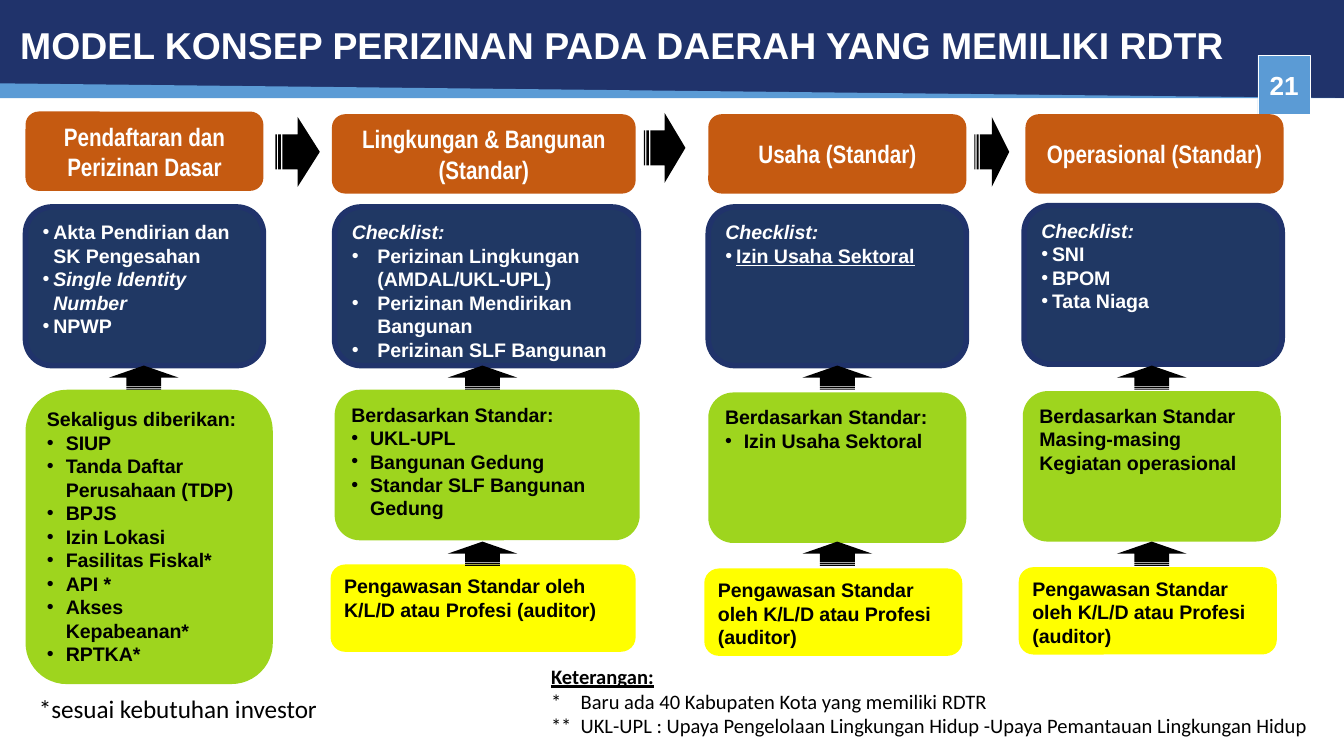
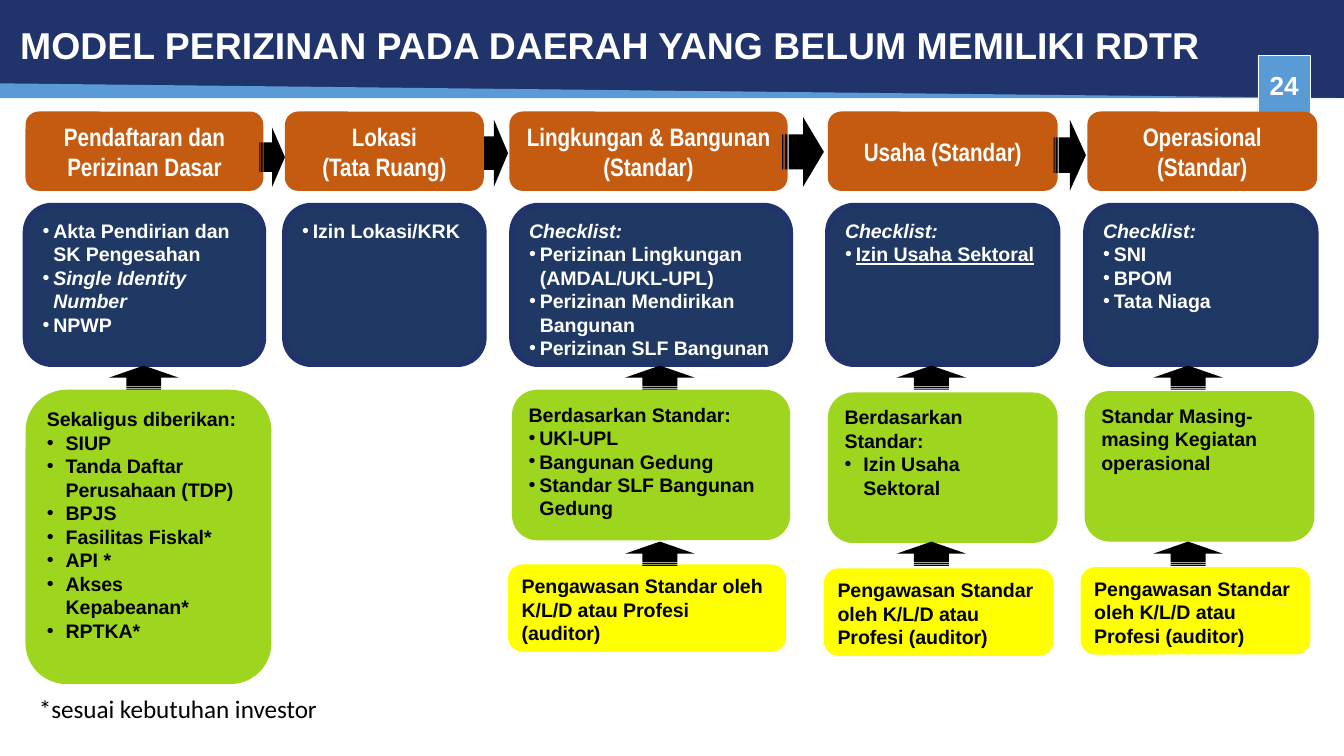
"""Build two slides on permit models for regions with and without an RDTR."""
from dataclasses import dataclass

from lxml import etree
from pptx import Presentation
from pptx.dml.color import RGBColor
from pptx.enum.shapes import MSO_SHAPE
from pptx.enum.text import MSO_ANCHOR, PP_ALIGN
from pptx.oxml.ns import qn
from pptx.util import Inches, Pt

RECTANGLE = MSO_SHAPE.RECTANGLE
ROUNDED = MSO_SHAPE.ROUNDED_RECTANGLE
TRIANGLE = MSO_SHAPE.RIGHT_TRIANGLE
ARROW = MSO_SHAPE.STRIPED_RIGHT_ARROW
TOP, MIDDLE = MSO_ANCHOR.TOP, MSO_ANCHOR.MIDDLE
LEFT, CENTER = PP_ALIGN.LEFT, PP_ALIGN.CENTER

NAVY = RGBColor(0x20, 0x33, 0x6B)
DEEP_BLUE = RGBColor(0x20, 0x38, 0x64)
SKY = RGBColor(0x5B, 0x9B, 0xD5)
ORANGE = RGBColor(0xC5, 0x5A, 0x11)
GREEN = RGBColor(0x9E, 0xD5, 0x1E)
YELLOW = RGBColor(0xFF, 0xFF, 0x00)
WHITE = RGBColor(0xFF, 0xFF, 0xFF)
BLACK = RGBColor(0, 0, 0)

SLIM_INSETS = (0.07, 0.04)
WIDE_INSETS = (0.1, 0.05)
STEP_HEIGHT, CHECK_HEIGHT, STANDARD_HEIGHT, AUDIT_HEIGHT = 0.59, 1.18, 1.12, 0.65
FIRST_HEIGHT = 2.19
TIGHT, LOOSE, WIDE = 0.08, 0.14, 0.19


@dataclass
class Line:
    """One paragraph with its own look."""
    text: str
    indent: float = 0
    bullet: bool = False
    italic: bool = False
    underline: bool = False
    bold: bool = True


@dataclass
class Column:
    """One stage of the permit process; tops run from step to audit."""
    left: float
    width: float
    middle: float
    tops: tuple
    step: list
    checks: list
    standards: list = ()
    step_shift: float = 0
    check_shift: float = 0
    standard_width: float = 0
    audited: bool = True


def bullets(indent, *texts):
    """Return bulleted lines that share an indent."""
    return [Line(text, indent, bullet=True) for text in texts]


CHECKLIST = Line("Checklist:", italic=True)
BASED_ON = Line("Berdasarkan Standar:")
AUDIT = [Line("Pengawasan Standar oleh K/L/D atau Profesi (auditor)")]
REGISTER_STEP = [Line("Pendaftaran dan Perizinan Dasar")]
REGISTER_CHECKS = [
    *bullets(TIGHT, "Akta Pendirian dan SK Pengesahan"),
    Line("Single Identity Number", TIGHT, bullet=True, italic=True),
    *bullets(TIGHT, "NPWP"),
]
BUILDING_STEP = [Line("Lingkungan & Bangunan (Standar)")]
BUILDING_CHECKS = ("Perizinan Lingkungan (AMDAL/UKL-UPL)",
                   "Perizinan Mendirikan Bangunan", "Perizinan SLF Bangunan")
BUILDING_STANDARDS = ("Bangunan Gedung", "Standar SLF Bangunan Gedung")
BUSINESS_STEP = [Line("Usaha (Standar)")]
BUSINESS_CHECKS = [CHECKLIST, Line("Izin Usaha Sektoral", TIGHT, bullet=True, underline=True)]
BUSINESS_STANDARDS = [BASED_ON, *bullets(LOOSE, "Izin Usaha Sektoral")]
OPERATION_STEP = [Line("Operasional (Standar)")]
OPERATION_CHECKS = [CHECKLIST, *bullets(TIGHT, "SNI", "BPOM", "Tata Niaga")]
GIVEN = Line("Sekaligus diberikan:")
GIVEN_FIRST = ("SIUP", "Tanda Daftar Perusahaan (TDP)", "BPJS")
GIVEN_LAST = ("Fasilitas Fiskal*", "API *", "Akses Kepabeanan*", "RPTKA*")

WITH_RDTR = [
    Column(0.19, 1.77, 0.88, (0.83, 1.54, 2.9), REGISTER_STEP, REGISTER_CHECKS,
           [GIVEN, *bullets(LOOSE, *GIVEN_FIRST, "Izin Lokasi", *GIVEN_LAST)],
           standard_width=1.84, audited=False),
    Column(2.49, 2.26, 1.1, (0.85, 1.54, 2.9, 4.2), BUILDING_STEP,
           [CHECKLIST, *bullets(WIDE, *BUILDING_CHECKS)],
           [BASED_ON, *bullets(LOOSE, "UKL-UPL", *BUILDING_STANDARDS)],
           step_shift=-0.02, standard_width=2.27),
    Column(5.27, 1.92, 0.96, (0.85, 1.54, 2.92, 4.23), BUSINESS_STEP,
           BUSINESS_CHECKS, BUSINESS_STANDARDS),
    Column(7.61, 1.92, 0.96, (0.85, 1.53, 2.91, 4.22), OPERATION_STEP, OPERATION_CHECKS,
           [Line("Berdasarkan Standar Masing-masing Kegiatan operasional")],
           step_shift=0.02, check_shift=0.01),
]
WITH_RDTR_ARROWS = [(2.05, 0.87, 0.33, 0.52), (4.79, 0.84, 0.31, 0.52), (7.25, 0.87, 0.26, 0.52)]

WITHOUT_RDTR = [
    Column(0.19, 1.77, 0.88, (0.83, 1.53, 2.9), REGISTER_STEP, REGISTER_CHECKS,
           [GIVEN, *bullets(LOOSE, *GIVEN_FIRST, *GIVEN_LAST)],
           standard_width=1.83, audited=False),
    Column(3.81, 2.07, 1.1, (0.83, 1.53, 2.9, 4.2), BUILDING_STEP,
           [CHECKLIST, *bullets(TIGHT, *BUILDING_CHECKS)],
           [BASED_ON, *bullets(TIGHT, "UKl-UPL", *BUILDING_STANDARDS)], step_shift=-0.02),
    Column(6.16, 1.71, 0.77, (0.83, 1.53, 2.92, 4.23), BUSINESS_STEP,
           BUSINESS_CHECKS, BUSINESS_STANDARDS),
    Column(8.07, 1.71, 0.77, (0.83, 1.53, 2.91, 4.22), OPERATION_STEP, OPERATION_CHECKS,
           [Line("Standar Masing-masing Kegiatan operasional")],
           step_shift=0.02, check_shift=0.01),
    Column(2.12, 1.48, 0.74, (0.83, 1.53), [Line("Lokasi"), Line("(Tata Ruang)")],
           bullets(TIGHT, "Izin Lokasi/KRK"), audited=False),
]
WITHOUT_RDTR_ARROWS = [(1.93, 0.95, 0.19, 0.44), (3.57, 0.89, 0.21, 0.5),
                       (5.82, 0.87, 0.31, 0.52), (7.84, 0.89, 0.24, 0.53)]

LEGEND = [
    Line("Keterangan:", underline=True),
    Line("*\tBaru ada 40 Kabupaten Kota yang memiliki RDTR", 0.22, bold=False),
    Line("**\tUKL-UPL : Upaya Pengelolaan Lingkungan Hidup -Upaya Pemantauan Lingkungan Hidup",
         0.22, bold=False),
]
INVESTOR_NOTE = [Line("*sesuai kebutuhan investor", bold=False)]


def write(box, lines, size, color, font="Arial", align=LEFT, anchor=TOP, insets=SLIM_INSETS):
    """Fill a box with styled paragraphs."""
    frame = box.text_frame
    frame.word_wrap = True
    frame.vertical_anchor = anchor
    frame.margin_left = frame.margin_right = Inches(insets[0])
    frame.margin_top = frame.margin_bottom = Inches(insets[1])
    for index, line in enumerate(lines):
        para = frame.add_paragraph() if index else frame.paragraphs[0]
        para.text = line.text
        para.alignment = align
        if line.indent:
            properties = para._p.get_or_add_pPr()
            properties.set("marL", str(Inches(line.indent)))
            properties.set("indent", str(-Inches(line.indent)))
            if line.bullet:
                etree.SubElement(properties, qn("a:buFont")).set("typeface", "Arial")
                etree.SubElement(properties, qn("a:buChar")).set("char", "•")
        style = para.font
        style.name, style.size, style.color.rgb = font, Pt(size), color
        style.bold, style.italic, style.underline = line.bold, line.italic, line.underline


def add_box(page, kind, place, fill, outline=None, weight=0):
    """Add a flat shape, outlined only when a colour is given."""
    box = page.shapes.add_shape(kind, *map(Inches, place))
    box.shadow.inherit = False
    box.fill.solid()
    box.fill.fore_color.rgb = fill
    if outline is None:
        box.line.fill.background()
    else:
        box.line.color.rgb = outline
        box.line.width = Pt(weight)
    return box


def add_note(page, place, lines, size, color, **options):
    """Add a text box and return it."""
    box = page.shapes.add_textbox(*map(Inches, place))
    write(box, lines, size, color, **options)
    return box


def add_up_arrow(page, center, middle):
    """Add a striped arrow that points up."""
    width, height = 0.18, 0.52
    place = (center - width / 2, middle - height / 2, width, height)
    add_box(page, ARROW, place, BLACK).rotation = 270


def add_header(page, title, number):
    """Draw the title band and the page number."""
    add_box(page, RECTANGLE, (0, 0, 10, 0.73), NAVY)
    add_box(page, TRIANGLE, (0, 0.62, 10, 0.11), SKY)
    badge = add_box(page, RECTANGLE, (9.36, 0.41, 0.39, 0.44), SKY, WHITE, 0.25)
    write(badge, [Line(number)], 14, WHITE, align=CENTER, anchor=MIDDLE)
    heading = add_note(page, (0.08, 0.2, 9.42, 0.31), [Line(title)], 20, WHITE, anchor=MIDDLE)
    heading.text_frame.paragraphs[0].line_spacing = 0.9


def add_column(page, column):
    """Draw one stage: step, checklist, standards and audit."""
    left, width, tops = column.left, column.width, column.tops
    step = add_box(page, ROUNDED, (left + column.step_shift, tops[0], width, STEP_HEIGHT), ORANGE)
    write(step, column.step, 13.5, WHITE, "Arial Narrow", CENTER, MIDDLE)
    place = (left + column.check_shift, tops[1], width, CHECK_HEIGHT)
    write(add_box(page, ROUNDED, place, DEEP_BLUE, NAVY, 3), column.checks, 10.5, WHITE)
    if column.standards:
        height = STANDARD_HEIGHT if column.audited else FIRST_HEIGHT
        place = (left, tops[2], column.standard_width or width, height)
        write(add_box(page, ROUNDED, place, GREEN), column.standards, 10.5, BLACK)
        add_up_arrow(page, left + column.middle, 2.81)
    if column.audited:
        place = (left - 0.03, tops[3], column.standard_width or width, AUDIT_HEIGHT)
        write(add_box(page, ROUNDED, place, YELLOW), AUDIT, 10.5, BLACK)
        add_up_arrow(page, left + column.middle, 4.12)


def add_model(deck, title, number, columns, arrows):
    """Add a slide for one permit model, its last column in front of the arrows."""
    page = deck.slides.add_slide(deck.slide_layouts[6])
    add_header(page, title, number)
    for column in columns[:-1]:
        add_column(page, column)
    for place in arrows:
        add_box(page, ARROW, place, BLACK)
    add_column(page, columns[-1])
    add_note(page, (0.19, 5.11, 2.69, 0.33), INVESTOR_NOTE, 13.5, BLACK,
             font="Calibri", insets=WIDE_INSETS)
    return page


def main():
    """Build and save the deck."""
    deck = Presentation()
    deck.slide_width = Inches(10)
    deck.slide_height = Inches(10 * 9 / 16)
    page = add_model(deck, "MODEL KONSEP PERIZINAN PADA DAERAH YANG MEMILIKI RDTR", "21",
                     WITH_RDTR, WITH_RDTR_ARROWS)
    add_note(page, (4.03, 4.9, 5.89, 0.63), LEGEND, 11, BLACK, font="Calibri")
    add_model(deck, "MODEL PERIZINAN PADA DAERAH YANG BELUM MEMILIKI RDTR", "24",
              WITHOUT_RDTR, WITHOUT_RDTR_ARROWS)
    deck.save("out.pptx")


if __name__ == "__main__":
    main()
